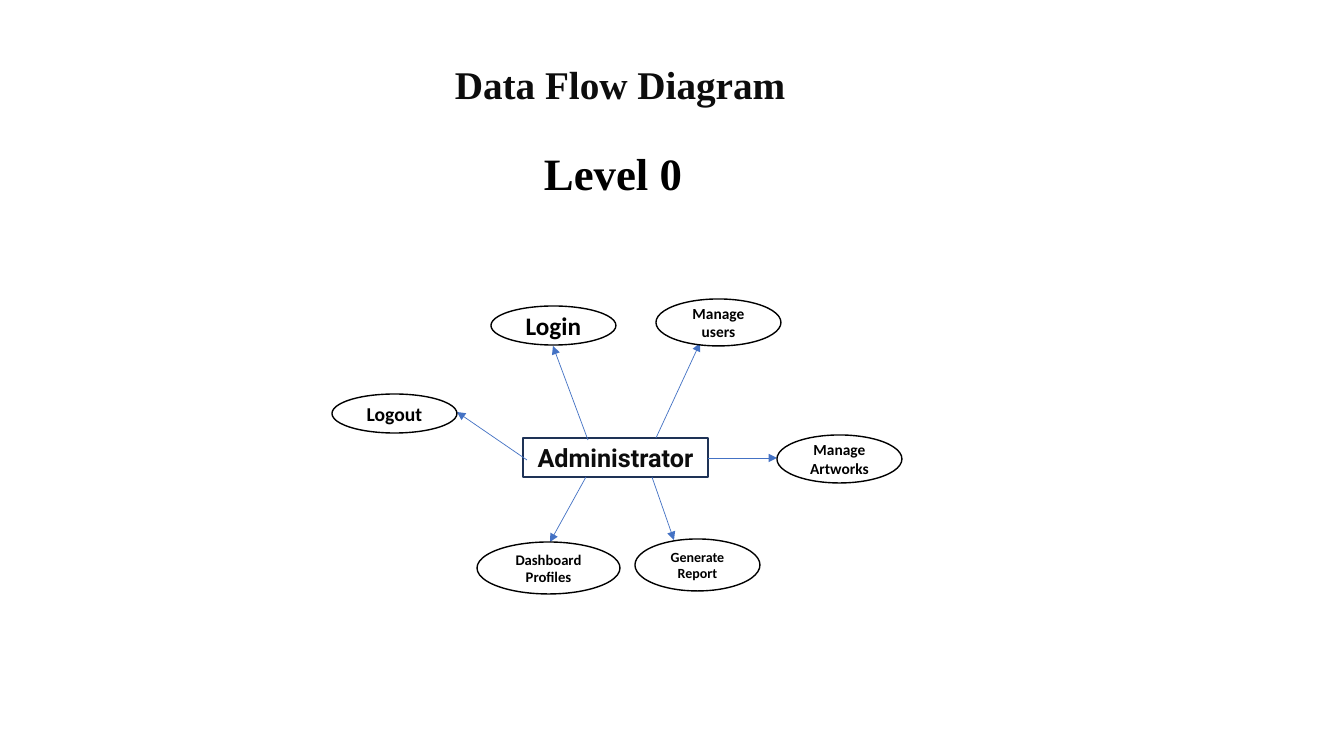
"""Build a level 0 data flow diagram slide for an administrator."""
from lxml.etree import SubElement
from pptx import Presentation
from pptx.dml.color import RGBColor
from pptx.enum.shapes import MSO_CONNECTOR, MSO_SHAPE
from pptx.enum.text import MSO_ANCHOR, PP_ALIGN
from pptx.oxml.ns import qn
from pptx.util import Pt

COLORS = {"ink": "0D0D0D", "black": "000000", "white": "FFFFFF",
          "navy": "1E3256", "arrow": "4472C4"}
SLIDE_SIZE = (1344, 756)
EMU_PER_PX = 914400 / 100.8

TITLE = ("Data Flow Diagram", (421, 67, 398, 46), 28)
LEVEL = ("Level 0", (534, 141, 171, 65), 32)
ADMINISTRATOR = ("Administrator", (523, 438, 185, 39), 18)
ACTIONS = [
    ("Manage users", (656, 299, 125, 47), 11),
    ("Login", (491, 306, 125, 39), 18),
    ("Logout", (332, 394, 125, 39), 14),
    ("Manage Artworks", (777, 435, 125, 48), 11),
    ("Generate Report", (635, 539, 125, 52), 10),
    ("Dashboard Profiles", (477, 542, 143, 52), 10.5),
]
ARROWS = [
    ((656, 438), (700, 343)),
    ((588, 440), (553, 346)),
    ((708, 458), (777, 458)),
    ((652, 477), (674, 540)),
    ((586, 477), (550, 542)),
    ((527, 460), (457, 412)),
]


def px(value):
    return round(value * EMU_PER_PX)


def rgb(name):
    return RGBColor.from_string(COLORS[name])


def write(shape, text, size, font, color, align, anchor):
    frame = shape.text_frame
    frame.word_wrap = True
    frame.vertical_anchor = anchor
    frame.text = text
    paragraph = frame.paragraphs[0]
    paragraph.alignment = align
    style = paragraph.runs[0].font
    style.name, style.size, style.bold = font, Pt(size), True
    style.color.rgb = rgb(color)
    return paragraph


def add_heading(slide, heading, color, align, anchor):
    text, box, size = heading
    shape = slide.shapes.add_textbox(*map(px, box))
    return write(shape, text, size, "Times New Roman", color, align, anchor)


def add_node(slide, node, kind, font, color, outline):
    text, box, size = node
    shape = slide.shapes.add_shape(kind, *map(px, box))
    shape.shadow.inherit = False
    shape.fill.solid()
    shape.fill.fore_color.rgb = rgb("white")
    shape.line.color.rgb = rgb(outline)
    shape.line.width = Pt(1)
    write(shape, text, size, font, color, PP_ALIGN.CENTER, MSO_ANCHOR.MIDDLE)


def add_arrow(slide, start, end):
    arrow = slide.shapes.add_connector(
        MSO_CONNECTOR.STRAIGHT, *map(px, start + end))
    arrow.line.color.rgb = rgb("arrow")
    arrow.line.width = Pt(0.5)
    SubElement(arrow.line._get_or_add_ln(), qn("a:tailEnd"), type="triangle")
    SubElement(arrow._element.spPr, qn("a:effectLst"))


def main():
    presentation = Presentation()
    presentation.slide_width, presentation.slide_height = map(px, SLIDE_SIZE)
    slide = presentation.slides.add_slide(presentation.slide_layouts[6])

    title = add_heading(slide, TITLE, "ink", PP_ALIGN.CENTER, MSO_ANCHOR.BOTTOM)
    title.line_spacing = 0.9
    add_node(slide, ADMINISTRATOR, MSO_SHAPE.RECTANGLE, "Roboto", "ink", "navy")
    for start, end in ARROWS:
        add_arrow(slide, start, end)
    for action in ACTIONS:
        add_node(slide, action, MSO_SHAPE.OVAL, "Calibri", "black", "black")
    add_heading(slide, LEVEL, "black", PP_ALIGN.LEFT, MSO_ANCHOR.TOP)

    presentation.save("out.pptx")


if __name__ == "__main__":
    main()
